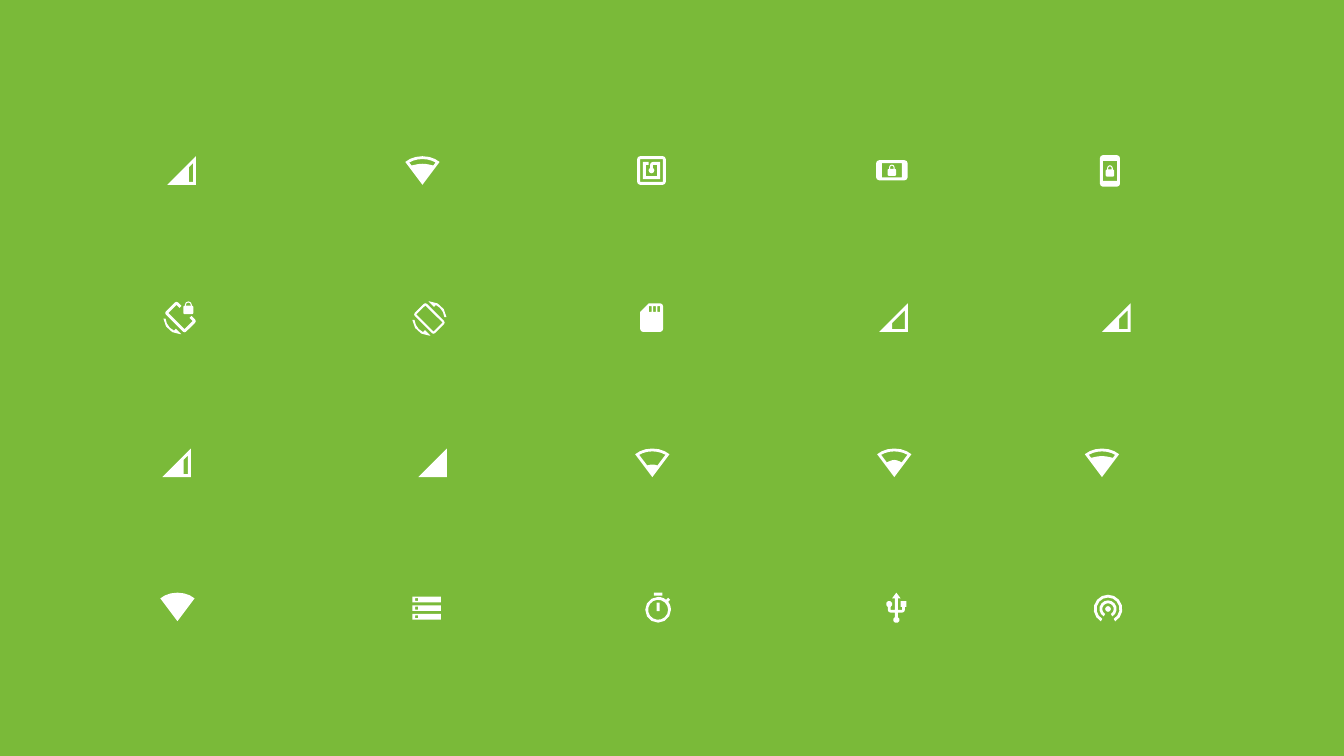
import math
from dataclasses import dataclass

import pptx
import pptx.dml.color
import pptx.util

Point = tuple[float, float]
Path = list[Point]

UNIT = pptx.util.Inches(0.34) / 24
GREEN = "7ABA39"
WHITE = "FFFFFF"


@dataclass
class Icon:
    left: float
    top: float
    paths: list[Path]


def paint(fill, color: str) -> None:
    fill.solid()
    fill.fore_color.rgb = pptx.dml.color.RGBColor.from_string(color)


def curve(a: Point, b: Point, c: Point, d: Point) -> Path:
    count = 3 if math.dist(a, d) > 3 else 2
    steps = [k / count for k in range(1, count + 1)]
    return [
        tuple(
            (1 - t) ** 3 * p + 3 * t * (1 - t) ** 2 * q + 3 * t * t * (1 - t) * r + t**3 * s
            for p, q, r, s in zip(a, b, c, d)
        )
        for t in steps
    ]


def trace(data: str) -> Path:
    path: Path = []
    for part in data.replace("L", "|L").replace("C", "|C").split("|"):
        if not part.strip():
            continue
        kind, *words = part.split()
        nums = [float(word) for word in words]
        spots = list(zip(nums[::2], nums[1::2]))
        if kind == "L":
            path += spots
        else:
            for k in range(0, len(spots), 3):
                path += curve(path[-1], *spots[k:k + 3])
    return path


def arc(x: float, y: float, size: float, start: float, end: float) -> Path:
    count = round(abs(end - start) / (45 if size < 3 else 24))
    turns = [math.radians(start + (end - start) * k / count) for k in range(count + 1)]
    return [(x + size * math.cos(a), y + size * math.sin(a)) for a in turns]


def box(left: float, top: float, right: float, base: float) -> Path:
    return [(left, top), (right, top), (right, base), (left, base)]


def pad(left: float, top: float, right: float, base: float) -> Path:
    return (
        arc(left + 2, top + 2, 2, 180, 270)
        + arc(right - 2, top + 2, 2, 270, 360)
        + arc(right - 2, base - 2, 2, 0, 90)
        + arc(left + 2, base - 2, 2, 90, 180)
    )


def lock(x: float, base: float, size: float, tall: float, rise: float) -> list[Path]:
    top = base - tall
    hole = size - 0.8
    body = (
        arc(x - size, base - 1, 1, 90, 180)
        + arc(x - size, top + 1, 1, 180, 270)
        + arc(x, top - rise, size, 180, 360)
        + arc(x + size, top + 1, 1, 270, 360)
        + arc(x + size, base - 1, 1, 0, 90)
    )
    return [body, arc(x, top - rise, hole, 180, 360) + [(x + hole, top), (x - hole, top)]]


def cell(edge: float = 0) -> list[Path]:
    paths = [[(2, 22), (22, 22), (22, 2)]]
    if edge:
        paths.append([(20, 20), (edge, 20), (edge, 26.83 - edge), (20, 6.83)])
    return paths


def wifi(peak: float = 0, edge: float = 0) -> list[Path]:
    paths = [trace("L 12 2 C 7 2 3 3.6 0 6 L 12 22 24 6 C 21 3.6 17 2 12 2")]
    if peak:
        side = 6.4 + (edge - 2.8) * 1.33
        third = (12 - edge) / 3
        half = curve((12, peak), (12 - third, peak), (edge + third, (peak + side) / 2), (edge, side))
        half += trace("L 2.8 6.4 C 5.4 4.9 8.6 4 12 4")
        paths.append([(12, peak)] + half + [(24 - x, y) for x, y in reversed(half[:-1])])
    return paths


def band(size: float) -> Path:
    return arc(12, 13, size, 120, 420) + arc(12, 13, size - 2, 420, 120)


def draw(slide, icon: Icon) -> None:
    spots = [spot for path in icon.paths for spot in path]
    left = pptx.util.Inches(icon.left) - min(x for x, _ in spots) * UNIT
    top = pptx.util.Inches(icon.top) - min(y for _, y in spots) * UNIT
    form = None
    for path in icon.paths:
        first, *rest = [(left + x * UNIT, top + y * UNIT) for x, y in path]
        if form is None:
            form = slide.shapes.build_freeform(*first)
        else:
            form.move_to(*first)
        form.add_line_segments(rest, close=True)
    shape = form.convert_to_shape()
    shape.shadow.inherit = False
    shape.line.fill.background()
    paint(shape.fill, WHITE)


NFC = [
    pad(2, 2, 22, 22),
    box(4, 4, 20, 20),
    trace(
        "L 18 6 13 6 C 11.9 6 11 6.9 11 8 L 11 10.28 C 10.4 10.62 10 11.26 10 12 "
        "10 13.1 10.9 14 12 14 13.1 14 14 13.1 14 12 14 11.26 13.6 10.62 13 10.28 "
        "L 13 8 16 8 16 16 8 16 8 8 10 8 10 6 6 6 6 18 18 18"
    ),
]
LOCK = lock(12, 16, 2, 5, 1)
WIDE = [pad(1, 5, 23, 19), box(5, 7, 19, 17), *LOCK]
TALL = [pad(5, 1, 19, 23), box(7, 5, 17, 19), *LOCK]
FIXED = [
    trace(
        "L 23.25 12.77 20.68 10.2 19.27 11.61 21.49 13.83 15.83 19.49 4.51 8.17 "
        "10.17 2.51 12.27 4.61 13.68 3.2 11.23 0.75 C 10.64 0.16 9.69 0.16 9.11 0.75 "
        "L 2.75 7.11 C 2.16 7.7 2.16 8.65 2.75 9.23 L 14.77 21.25 "
        "C 15.36 21.84 16.31 21.84 16.89 21.25 L 23.25 14.89 C 23.84 14.3 23.84 13.35 23.25 12.77"
    ),
    trace(
        "L 8.47 20.48 C 5.2 18.94 2.86 15.76 2.5 12 L 1 12 "
        "C 1.51 18.16 6.66 23 12.95 23 L 13.61 22.97 9.8 19.15"
    ),
    *lock(18.5, 9, 2.5, 6, 0.5),
]
SWEEP = trace(
    "L 16.48 2.52 C 19.75 4.07 22.09 7.24 22.45 11 L 23.95 11 "
    "C 23.44 4.84 18.29 0 12 0 L 11.34 0.03 15.15 3.84"
)
TURN = [
    SWEEP,
    trace(
        "L 10.23 1.75 C 9.64 1.16 8.69 1.16 8.11 1.75 L 1.75 8.11 "
        "C 1.16 8.7 1.16 9.65 1.75 10.23 L 13.77 22.25 C 14.36 22.84 15.31 22.84 15.89 22.25 "
        "L 22.25 15.89 C 22.84 15.3 22.84 14.35 22.25 13.77"
    ),
    trace("L 14.83 21.19 2.81 9.17 9.17 2.81 21.19 14.83"),
    [(24 - x, 24 - y) for x, y in SWEEP],
]
CARD = [
    [(10, 2), (4, 8)] + arc(6, 20, 2, 180, 90) + arc(18, 20, 2, 90, 0) + arc(18, 4, 2, 0, -90),
    *[box(x, 4, x + 2, 8) for x in (10, 13, 16)],
]
DISKS = [path for y in (4, 10, 16) for path in (box(2, y, 22, y + 4), box(4, y + 1, 6, y + 3))]
TIMER = [
    box(9, 1, 15, 3),
    box(11, 8, 13, 14),
    trace(
        "L 19.03 7.39 20.45 5.97 C 20.02 5.46 19.55 4.98 19.04 4.56 L 17.62 5.98 "
        "C 16.07 4.74 14.12 4 12 4 7.03 4 3 8.03 3 13 3 17.97 7.02 22 12 22 "
        "16.98 22 21 17.97 21 13 21 10.88 20.26 8.93 19.03 7.39"
    ),
    arc(12, 13, 7, 0, 360),
]
USB = [
    trace("L 15 7 15 11 16 11 16 13 13 13 13 5 15 5 12 1 9 5 11 5 11 13 8 13")
    + arc(7, 9, 2.2, 63, -243)
    + trace("L 6 13 C 6 14.11 6.89 15 8 15 L 11 15")
    + arc(12, 20, 2.2, -117, -423)
    + trace("L 13 15 16 15 C 17.11 15 18 14.11 18 13 L 18 11 19 11 19 7")
]
RADIO = [arc(12, 13, 2, 0, 360), band(6), band(10)]

ICONS = [
    Icon(1.66, 1.55, cell(17)), Icon(4.02, 1.55, wifi(7.3, 4.4)), Icon(6.32, 1.55, NFC),
    Icon(8.69, 1.59, WIDE), Icon(10.91, 1.54, TALL),
    Icon(1.62, 2.99, FIXED), Icon(4.09, 2.99, TURN), Icon(6.35, 3.01, CARD),
    Icon(8.72, 3.01, cell(11)), Icon(10.93, 3.01, cell(14)),
    Icon(1.61, 4.45, cell(17)), Icon(4.15, 4.45, cell()), Icon(6.3, 4.45, wifi(13.2, 8.4)),
    Icon(8.7, 4.45, wifi(10, 6.8)), Icon(10.76, 4.45, wifi(7.3, 4.4)),
    Icon(1.59, 5.88, wifi()), Icon(4.09, 5.92, DISKS), Icon(6.4, 5.88, TIMER),
    Icon(8.79, 5.88, USB), Icon(10.85, 5.9, RADIO),
]


def main() -> None:
    deck = pptx.Presentation()
    deck.slide_width = pptx.util.Inches(13.33)
    deck.slide_height = pptx.util.Inches(7.5)
    slide = deck.slides.add_slide(deck.slide_layouts[6])
    paint(slide.background.fill, GREEN)
    for icon in ICONS:
        draw(slide, icon)
    deck.save("out.pptx")


if __name__ == "__main__":
    main()
